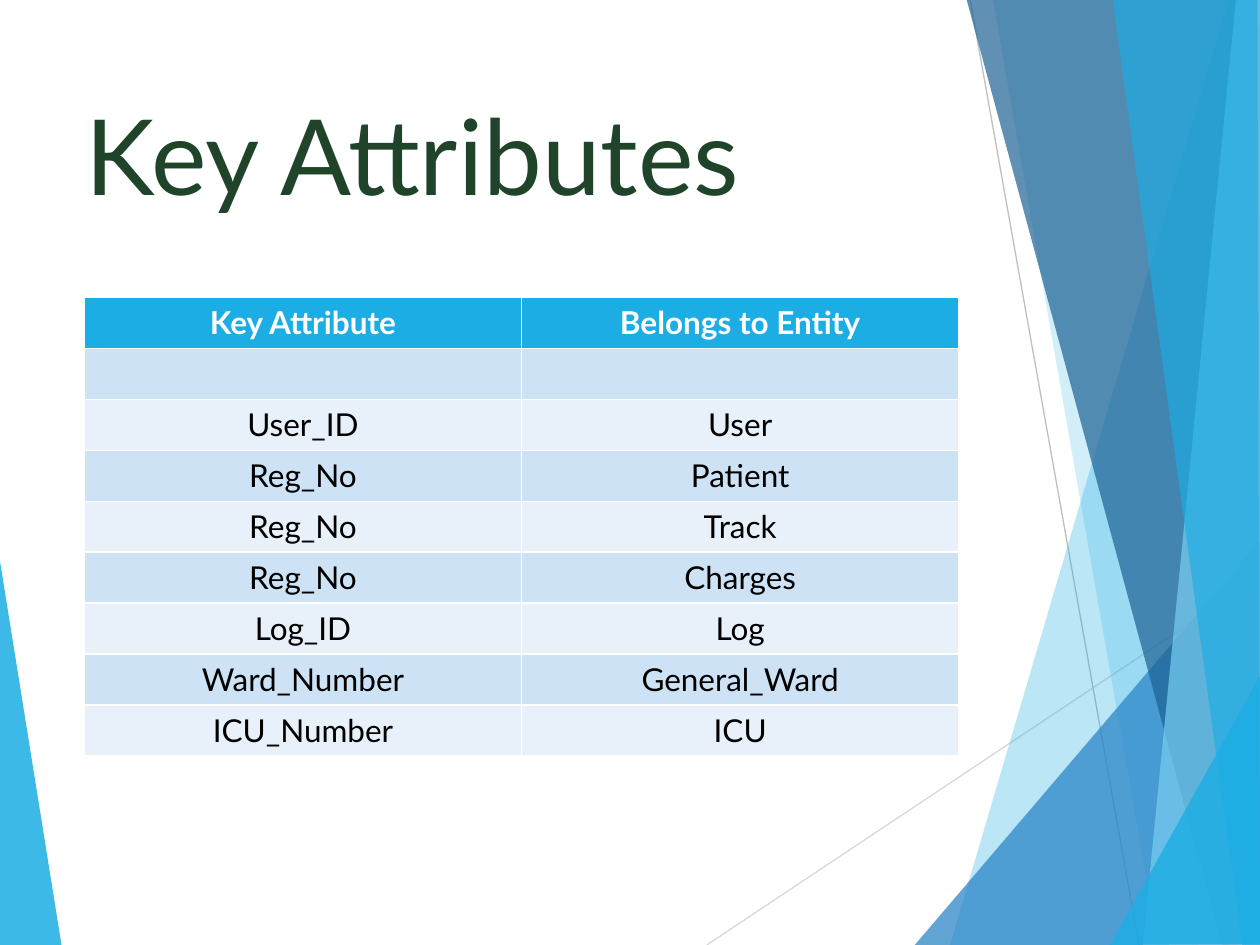
import dataclasses

import lxml.etree
import pptx
import pptx.dml.color
import pptx.enum.shapes
import pptx.enum.text
import pptx.oxml.ns
import pptx.slide
import pptx.util

Inches = pptx.util.Inches
Color = pptx.dml.color.RGBColor
Point = tuple[float, float]

FONT = "Lato"
WHITE = Color(0xFF, 0xFF, 0xFF)
BLACK = Color(0x00, 0x00, 0x00)
GREEN = Color(0x1F, 0x44, 0x2A)
SKY = Color(0x1C, 0xAD, 0xE4)
BLUE = Color(0x26, 0x83, 0xC6)
NAVY = Color(0x1D, 0x62, 0x94)
PALE = Color(0x77, 0xCE, 0xEF)
BANDS = (Color(0xE8, 0xF1, 0xFA), Color(0xCD, 0xE3, 0xF5))
GRAY = Color(0xBF, 0xBF, 0xBF)
SILVER = Color(0xD9, 0xD9, 0xD9)


@dataclasses.dataclass
class Shard:
    color: Color
    alpha: int  # percent
    points: list[Point]


@dataclasses.dataclass
class Ray:
    color: Color
    start: Point
    end: Point


LEFT = Shard(SKY, 85, [(-0.01, 4.39), (0.49, 7.51), (-0.01, 7.5)])
RAYS = [
    Ray(SILVER, (5.61, 7.5), (10.01, 4.57)),
    Ray(GRAY, (7.7, 0), (9.04, 7.5)),
]
SHARDS = [
    Shard(SKY, 30, [(9.75, 0), (7.54, 7.5), (10.02, 7.51), (10.01, 0.01)]),
    Shard(SKY, 20, [(7.88, -0.01), (9.19, 7.5), (10.01, 7.5), (10.01, -0.01)]),
    Shard(BLUE, 72, [(7.26, 7.5), (10, 4.29), (10.01, 7.5)]),
    Shard(NAVY, 70, [(7.67, -0.01), (9.7, 7.5), (10.01, 7.49), (10.01, -0.01)]),
    Shard(PALE, 70, [(9.81, -0.01), (9.07, 7.5), (10.01, 7.5), (10, -0.01)]),
    Shard(SKY, 65, [(8.83, -0.01), (9.86, 7.5), (10, 7.5), (9.98, -0.01)]),
    Shard(SKY, 80, [(8.81, 7.5), (10.01, 5.35), (10.01, 7.49)]),
]
ROWS = [
    ("Key Attribute", "Belongs to Entity"),
    ("", ""),
    ("User_ID", "User"),
    ("Reg_No", "Patient"),
    ("Reg_No", "Track"),
    ("Reg_No", "Charges"),
    ("Log_ID", "Log"),
    ("Ward_Number", "General_Ward"),
    ("ICU_Number", "ICU"),
]


def draw_shard(slide: pptx.slide.Slide, shard: Shard) -> None:
    first, *rest = [(Inches(x), Inches(y)) for x, y in shard.points]
    pen = slide.shapes.build_freeform(*first)
    pen.add_line_segments(rest, close=True)
    shape = pen.convert_to_shape()
    shape.shadow.inherit = False
    shape.line.fill.background()
    shape.fill.solid()
    shape.fill.fore_color.rgb = shard.color
    qn = pptx.oxml.ns.qn
    tint = shape.fill._xPr.find(qn("a:solidFill")).find(qn("a:srgbClr"))
    lxml.etree.SubElement(tint, qn("a:alpha"), val=str(shard.alpha * 1000))


def draw_ray(slide: pptx.slide.Slide, ray: Ray) -> None:
    ends = [Inches(v) for v in ray.start + ray.end]
    line = slide.shapes.add_connector(
        pptx.enum.shapes.MSO_CONNECTOR.STRAIGHT, *ends)
    line.line.color.rgb = ray.color
    line.line.width = pptx.util.Pt(0.75)
    lxml.etree.SubElement(
        line._element.spPr, pptx.oxml.ns.qn("a:effectLst"))


def set_title(slide: pptx.slide.Slide, text: str) -> None:
    title = slide.shapes.title
    title.left, title.top = Inches(0.58), Inches(0.67)
    title.width, title.height = Inches(6.94), Inches(1.44)
    frame = title.text_frame
    frame.text = text
    frame.word_wrap = True
    frame.auto_size = pptx.enum.text.MSO_AUTO_SIZE.NONE
    frame.vertical_anchor = pptx.enum.text.MSO_ANCHOR.TOP
    para = frame.paragraphs[0]
    para.alignment = pptx.enum.text.PP_ALIGN.LEFT
    font = para.runs[0].font
    font.name, font.size = FONT, pptx.util.Pt(60)
    font.color.rgb = GREEN


def draw_table(slide: pptx.slide.Slide, rows: list[tuple[str, str]]) -> None:
    # The default table style supplies the white grid lines
    table = slide.shapes.add_table(
        len(rows), len(rows[0]), Inches(0.67), Inches(2.36),
        Inches(6.94), Inches(3.64)).table
    for r, row in enumerate(rows):
        head = r == 0
        for c, text in enumerate(row):
            cell = table.cell(r, c)
            cell.margin_left = cell.margin_right = Inches(0.08)
            cell.fill.solid()
            cell.fill.fore_color.rgb = SKY if head else BANDS[r % 2]
            cell.text_frame.text = text
            para = cell.text_frame.paragraphs[0]
            para.alignment = pptx.enum.text.PP_ALIGN.CENTER
            for run in para.runs:
                font = run.font
                font.name, font.size = FONT, pptx.util.Pt(18)
                font.bold = head
                font.color.rgb = WHITE if head else BLACK


def main() -> None:
    deck = pptx.Presentation()
    deck.slide_width, deck.slide_height = Inches(10), Inches(7.5)
    slide = deck.slides.add_slide(deck.slide_layouts.get_by_name("Title Only"))

    # Backdrop
    draw_shard(slide, LEFT)
    for ray in RAYS:
        draw_ray(slide, ray)
    for shard in SHARDS:
        draw_shard(slide, shard)

    # Content
    set_title(slide, "Key Attributes")
    draw_table(slide, ROWS)
    deck.save("out.pptx")


if __name__ == "__main__":
    main()
